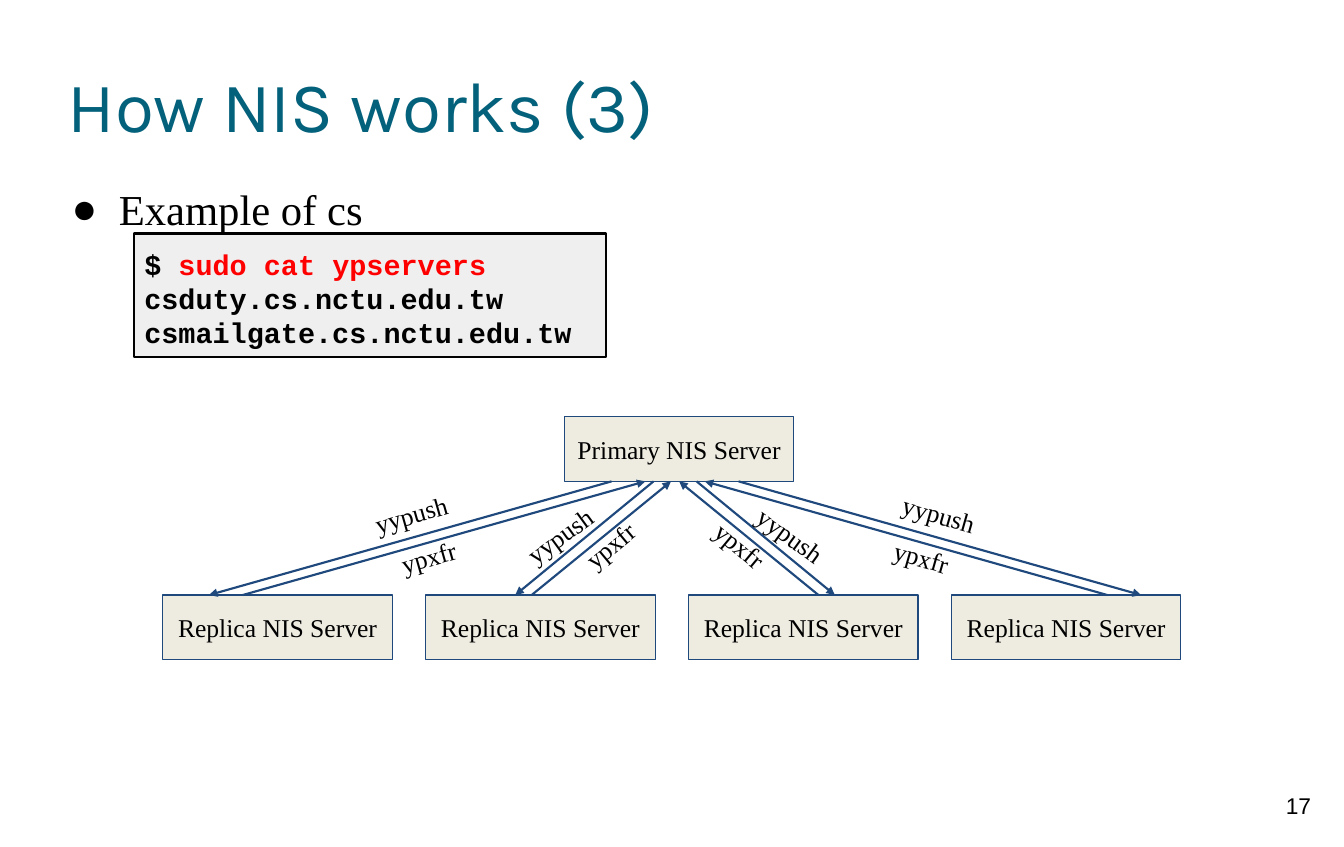
from dataclasses import dataclass

from lxml import etree
from pptx import Presentation
from pptx.dml.color import RGBColor
from pptx.enum.shapes import MSO_CONNECTOR, MSO_SHAPE
from pptx.enum.text import MSO_ANCHOR, MSO_AUTO_SIZE, PP_ALIGN
from pptx.oxml.ns import qn
from pptx.util import Inches, Pt

RECT, LINE = MSO_SHAPE.RECTANGLE, MSO_CONNECTOR.STRAIGHT
TOP, MIDDLE = MSO_ANCHOR.TOP, MSO_ANCHOR.MIDDLE
LEFT, CENTER = PP_ALIGN.LEFT, PP_ALIGN.CENTER
FIXED = MSO_AUTO_SIZE.NONE

HUES = {"title": "04617B", "text": "000000", "typed": "FF0000", "code": "EFEFEF",
        "server": "EEECE1", "edge": "1F497D"}
SERIF = {"name": "Times New Roman", "size": Pt(18)}
MONO = {"name": "Courier New", "size": Pt(20), "bold": True}
MIRROR = 13.18
BOX_W, BOX_H = 2.24, 0.63
TAG_W, TAG_H = 1.05, 0.44
ROW_TOP, ROW_END = 4.7, 5.81


@dataclass
class Link:
    """One arrow of the left half, with its label."""
    word: str
    start: float
    end: float
    arrow: str
    left: float
    top: float
    turn: float


LINKS = [
    Link("yypush", 5.97, 2.04, "tailEnd", 3.48, 4.77, -15.9),
    Link("ypxfr", 6.3, 2.37, "headEnd", 3.65, 5.19, -15.9),
    Link("yypush", 6.38, 5.03, "tailEnd", 4.92, 4.98, -36),
    Link("ypxfr", 6.55, 5.19, "headEnd", 5.41, 5.08, -39.8),
]


def shade(hue: str) -> RGBColor:
    """Return the named colour."""
    return RGBColor.from_string(HUES[hue])


def apply(target, values: dict) -> None:
    """Set each value as an attribute of the target."""
    for key, value in values.items():
        setattr(target, key, value)


def place(shape, left: float, top: float, width: float, height: float) -> None:
    """Move and size a shape, in inches."""
    spots = zip(("left", "top", "width", "height"), (left, top, width, height))
    apply(shape, {key: Inches(size) for key, size in spots})


def frame(shape, inset: float, anchor=TOP) -> None:
    """Format the text frame of a shape."""
    sides = ("left", "top", "right", "bottom")
    margins = {f"margin_{side}": Inches(inset) for side in sides}
    apply(shape.text_frame, {"word_wrap": True, "auto_size": FIXED,
                             "vertical_anchor": anchor, **margins})


def write(para, parts: list, font: dict, align=CENTER) -> None:
    """Add runs of (text, colour) to a paragraph."""
    para.alignment = align
    for text, hue in parts:
        run = para.add_run()
        run.text = text
        apply(run.font, font)
        run.font.color.rgb = shade(hue)


def add_box(shapes, spot: tuple, fill: str, edge: str, weight: float):
    """Add a flat outlined rectangle."""
    box = shapes.add_shape(RECT, *map(Inches, spot))
    box.shadow.inherit = False
    box.fill.solid()
    box.fill.fore_color.rgb = shade(fill)
    box.line.color.rgb = shade(edge)
    box.line.width = Pt(weight)
    return box


def add_server(shapes, name: str, left: float, top: float) -> None:
    """Add a named server."""
    box = add_box(shapes, (left, top, BOX_W, BOX_H), "server", "edge", 0.75)
    frame(box, 0.1, MIDDLE)
    write(box.text_frame.paragraphs[0], [(name, "text")], SERIF)


def add_note(shapes, text: str, spot: tuple, font: dict, turn: float = 0) -> None:
    """Add a centred line of text, turned if asked."""
    note = shapes.add_textbox(*map(Inches, spot))
    note.rotation = turn
    frame(note, 0.1)
    write(note.text_frame.paragraphs[0], [(text, "text")], font)


def add_link(shapes, link: Link, flip: bool) -> None:
    """Add an arrow and its label, on the left or flipped to the right."""
    start, end, left, turn = link.start, link.end, link.left, link.turn
    if flip:
        start, end = MIRROR - start, MIRROR - end
        left, turn = MIRROR - left - TAG_W, -turn
    ends = map(Inches, (start, ROW_TOP, end, ROW_END))
    line = shapes.add_connector(LINE, *ends)
    line.line.color.rgb = shade("edge")
    line.line.width = Pt(1.5)
    stroke = line.line._get_or_add_ln()
    etree.SubElement(stroke, qn(f"a:{link.arrow}"), type="triangle")
    etree.SubElement(line._element.spPr, qn("a:effectLst"))
    add_note(shapes, link.word, (left, link.top, TAG_W, TAG_H), SERIF, turn)


def add_bullet(para) -> None:
    """Give a paragraph a round bullet and a hanging indent."""
    props = para._p.get_or_add_pPr()
    apply_indent = {"marL": Inches(0.5), "indent": Inches(-0.46)}
    for key, value in apply_indent.items():
        props.set(key, str(value))
    tint = etree.SubElement(props, qn("a:buClr"))
    etree.SubElement(tint, qn("a:srgbClr"), val=HUES["text"])
    etree.SubElement(props, qn("a:buChar"), char="●")


def add_heads(slide) -> None:
    """Fill the title and the list."""
    title, body = slide.shapes.title, slide.placeholders[1]
    place(title, 0.66, 0.33, 11.81, 1.38)
    frame(title, 0, MIDDLE)
    write(title.text_frame.paragraphs[0], [("How NIS works (3)", "title")],
          {"name": "Karla", "size": Pt(50)}, LEFT)
    place(body, 0.66, 1.71, 11.84, 0.55)
    frame(body, 0)
    para = body.text_frame.paragraphs[0]
    add_bullet(para)
    apply(para, {"line_spacing": 1.15, "space_before": Pt(0)})
    write(para, [("Example of cs", "text")], {**SERIF, "size": Pt(30)}, LEFT)


def add_code(shapes) -> None:
    """Add the shell listing."""
    box = add_box(shapes, (1.31, 2.28, 4.61, 1.21), "code", "text", 1.5)
    frame(box, 0.1)
    box.text_frame.margin_top = Inches(0.13)
    lines = [[("$ ", "text"), ("sudo cat ypservers", "typed")],
             [("csduty.cs.nctu.edu.tw", "text")],
             [("csmailgate.cs.nctu.edu.tw", "text")]]
    for row, parts in enumerate(lines):
        text = box.text_frame
        para = text.add_paragraph() if row else text.paragraphs[0]
        para.line_spacing = Pt(24)
        write(para, parts, MONO, LEFT)


def add_tree(shapes) -> None:
    """Add the servers and the links between them."""
    add_server(shapes, "Primary NIS Server", 5.51, ROW_TOP - BOX_H)
    for col in range(4):
        add_server(shapes, "Replica NIS Server", 1.59 + 2.566 * col, ROW_END)
    for flip in (False, True):
        for link in LINKS:
            add_link(shapes, link, flip)


def main() -> None:
    """Build and save the slide."""
    deck = Presentation()
    apply(deck, {"slide_width": Inches(13.12), "slide_height": Inches(8.27)})
    slide = deck.slides.add_slide(deck.slide_layouts[1])
    add_heads(slide)
    add_code(slide.shapes)
    add_tree(slide.shapes.add_group_shape().shapes)
    add_note(slide.shapes, "17", (12.28, 7.63, 0.79, 0.63),
             {"name": "Arial", "size": Pt(16)})
    deck.save("out.pptx")


if __name__ == "__main__":
    main()
